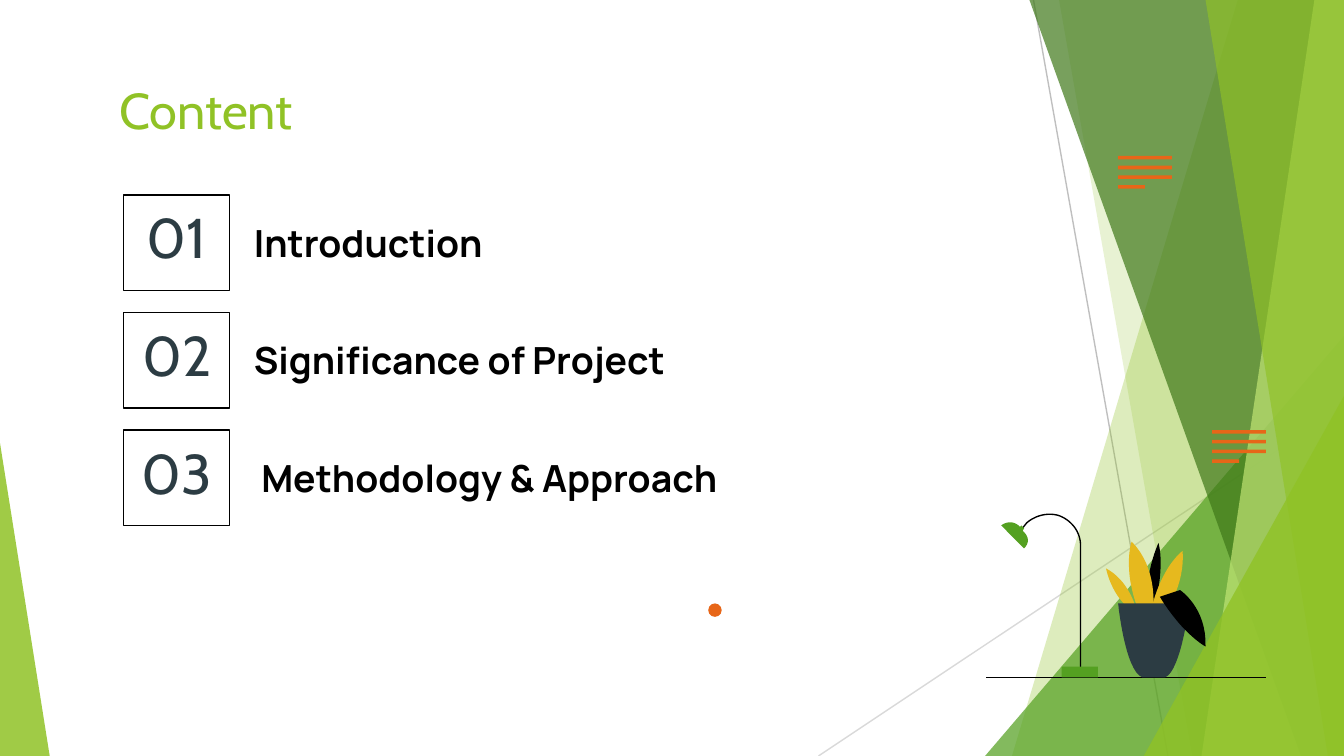
import dataclasses
import lxml.etree
import pptx
import pptx.dml.color
import pptx.enum.shapes
import pptx.enum.text
import pptx.oxml.ns
import pptx.util

SHAPE = pptx.enum.shapes.MSO_SHAPE
ANCHOR = pptx.enum.text.MSO_ANCHOR
ALIGN = pptx.enum.text.PP_ALIGN
WIDTH = pptx.util.Inches(10)
HEIGHT = pptx.util.Inches(5.625)
CELL = WIDTH / 100
ROWS = HEIGHT / CELL


@dataclasses.dataclass(frozen=True)
class Theme:
    lime: str = "90C226"
    pale: str = "C0E474"
    green: str = "54A021"
    forest: str = "3F7819"
    orange: str = "E76618"
    yellow: str = "E6B91E"
    slate: str = "2C3C43"
    black: str = "000000"
    grey: str = "BFBFBF"
    light_grey: str = "D9D9D9"
    head_font: str = "Cabin"
    body_font: str = "Manrope"
    title_size: float = 27
    number_size: float = 30
    body_size: float = 20
    line_width: float = 0.75


@dataclasses.dataclass(frozen=True)
class Box:
    x: float
    y: float
    w: float
    h: float

    def inner(self, x, y, w, h):
        return Box(self.x + x, self.y + y, w, h)

    def point(self, x, y):
        return emu(self.x + x), emu(self.y + y)

    def emus(self):
        return [emu(v) for v in (self.x, self.y, self.w, self.h)]


THEME = Theme()


def emu(cells):
    return pptx.util.Emu(round(cells * CELL))


def rgb(color):
    return pptx.dml.color.RGBColor.from_string(color)


def paint(sp, fill=None, alpha=100, line=None):
    sp.shadow.inherit = False
    if fill:
        sp.fill.solid()
        sp.fill.fore_color.rgb = rgb(fill)
        if alpha < 100:
            clr = sp._element.spPr.find(".//" + pptx.oxml.ns.qn("a:srgbClr"))
            tag = pptx.oxml.ns.qn("a:alpha")
            lxml.etree.SubElement(clr, tag).set("val", str(alpha * 1000))
    else:
        sp.fill.background()
    if line:
        sp.line.color.rgb = rgb(line)
        sp.line.width = pptx.util.Pt(THEME.line_width)
    else:
        sp.line.fill.background()


def add_preset(s, kind, box, fill=None, alpha=100, line=None, adj=None):
    sp = s.shapes.add_shape(kind, *box.emus())
    if adj is not None:
        sp.adjustments[0] = adj
    paint(sp, fill, alpha, line)
    return sp


def add_line(s, box, start, end, color):
    kind = pptx.enum.shapes.MSO_CONNECTOR.STRAIGHT
    sp = s.shapes.add_connector(kind, *box.point(*start), *box.point(*end))
    sp.line.color.rgb = rgb(color)
    sp.line.width = pptx.util.Pt(THEME.line_width)
    lxml.etree.SubElement(sp._element.spPr, pptx.oxml.ns.qn("a:effectLst"))


def bezier(p0, p1, p2, p3, steps=16):
    for i in range(1, steps + 1):
        t = i / steps
        u = 1 - t
        yield tuple(u**3 * a + 3 * u * u * t * b + 3 * u * t * t * c + t**3 * d
                    for a, b, c, d in zip(p0, p1, p2, p3))


def add_outline(s, box, outline, fill=None, alpha=100, line=None):
    points = [outline[0]]
    for step in outline[1:]:
        if len(step) == 2:
            points.append(step)
        else:
            points.extend(bezier(points[-1], step[:2], step[2:4], step[4:]))
    fb = s.shapes.build_freeform(*box.point(*points[0]))
    fb.add_line_segments([box.point(*p) for p in points[1:]], close=bool(fill))
    paint(fb.convert_to_shape(), fill, alpha, line)


def write(sp, text, font, size, color, bold=False, bottom=0.1):
    tf = sp.text_frame
    tf.word_wrap = True
    tf.margin_left = tf.margin_right = tf.margin_top = pptx.util.Inches(0.1)
    tf.margin_bottom = pptx.util.Inches(bottom)
    tf.vertical_anchor = ANCHOR.TOP
    p = tf.paragraphs[0]
    p.alignment = ALIGN.LEFT
    r = p.add_run()
    r.text = text
    r.font.name = font
    r.font.size = pptx.util.Pt(size)
    r.font.bold = bold
    r.font.color.rgb = rgb(color)
    return tf


def add_facets(s, box):
    add_line(s, box, (3.6, 0), (13.6, box.h), THEME.grey)
    add_line(s, box, (box.w, 30.2), (-12.4, box.h), THEME.light_grey)

    def band(top, bottom, color, alpha):
        outline = [(top, 0), (box.w, 0), (box.w, box.h), (bottom, box.h)]
        add_outline(s, box, outline, color, alpha)

    def corner(w, h, color, alpha):
        area = box.inner(box.w - w, box.h - h, w, h)
        add_preset(s, SHAPE.ISOSCELES_TRIANGLE, area, color, alpha, adj=1)

    band(18.8, 2, THEME.lime, 30)
    band(5.5, 15.4, THEME.lime, 20)
    corner(26.7, 31.25, THEME.green, 72)
    band(3.3, 23.5, THEME.forest, 70)
    band(24.5, 16.1, THEME.pale, 70)
    band(16.4, 25.5, THEME.lime, 65)
    corner(14.9, 26.8, THEME.lime, 80)


def add_title(s, box, text):
    sp = s.shapes.add_textbox(*box.emus())
    write(sp, text, THEME.head_font, THEME.title_size, THEME.lime)


def add_agenda(s, box, items):
    pitch = box.h / len(items)
    for i, text in enumerate(items):
        row = box.inner(0, i * pitch, box.w, pitch)
        sp = add_preset(s, SHAPE.RECTANGLE, row.inner(0, 0, 7.9, 7.1), line=THEME.black)
        tf = write(sp, f"{i + 1:02}", THEME.head_font, THEME.number_size,
                   THEME.slate, bottom=0.15)
        tf.vertical_anchor = ANCHOR.BOTTOM
        tf.paragraphs[0].alignment = ALIGN.CENTER
        tf.paragraphs[0].line_spacing = 1.15
        sp = s.shapes.add_textbox(*row.inner(8.7, 0.87, box.w - 8.7, 5.4).emus())
        write(sp, text, THEME.body_font, THEME.body_size, THEME.black, bold=True)


def add_stripes(s, box):
    pitch = box.h / 4
    for i, share in enumerate((1, 1, 1, 0.5)):
        stripe = box.inner(0, i * pitch, box.w * share, 0.27)
        add_preset(s, SHAPE.RECTANGLE, stripe, THEME.orange)


def add_lamp_and_plant(s, box):
    floor = box.h
    add_line(s, box, (0.4, floor), (box.w, floor), THEME.black)
    plant = [
        (THEME.black, [(12.9, 7.2), (12.9, 7.2, 13.7, 4.3, 13.2, 2.4),
                       (13.2, 2.4, 12.2, 4.5, 12.3, 7.2)]),
        (THEME.yellow, [(13.7, 7.6), (13.7, 7.6, 15.2, 5.5, 15, 3),
                        (15, 3, 13.4, 4.1, 12.6, 7.6)]),
        (THEME.yellow, [(12.8, 7.4), (12.8, 7.4, 13.2, 4.3, 11.2, 2.3),
                        (11.2, 2.3, 10.5, 4.3, 11.7, 7.4)]),
        (THEME.yellow, [(11.5, 7.2), (11.5, 7.2, 11, 5.2, 9.3, 4.3),
                        (9.3, 4.3, 9.6, 6, 10.9, 7.2)]),
        (THEME.slate, [(15.5, 6.9), (15.5, 6.9, 14.9, 11.9, 13.7, floor),
                       (12, floor), (10.7, 11.9, 10.2, 6.9, 10.2, 6.9)]),
        (THEME.black, [(14.8, 5.9), (14.8, 5.9, 16.8, 7.2, 16.7, 10.1),
                       (16.7, 10.1, 15, 9.2, 13.3, 6.4)]),
    ]
    for color, outline in plant:
        add_outline(s, box, outline, color)
    arm = [(7.4, floor), (7.4, 2.6), (7.4, 1.6, 6.8, 0.8, 5.9, 0.4),
           (5.1, 0.1, 4.1, 0.3, 3.4, 0.9), (3, 1.4)]
    add_outline(s, box, arm, line=THEME.black)
    shade = [(2.9, 1.2), (3, 1.1), (3.2, 1.3), (3.1, 1.5),
             (3.9, 2.2, 3.2, 2.8, 3.2, 2.8), (1.5, 1.1), (1.5, 1.1, 2.2, 0.5, 2.9, 1.2)]
    add_outline(s, box, shade, THEME.green)
    add_preset(s, SHAPE.RECTANGLE, box.inner(6, floor - 0.8, 2.7, 0.8), THEME.green)


def main():
    prs = pptx.Presentation()
    prs.slide_width, prs.slide_height = WIDTH, HEIGHT
    s = prs.slides.add_slide(prs.slide_layouts[6])
    add_facets(s, Box(73.3, 0, 26.7, ROWS))
    add_preset(s, SHAPE.ISOSCELES_TRIANGLE, Box(0, ROWS - 23.3, 3.7, 23.3), THEME.lime, 85, adj=0)
    add_title(s, Box(7.9, 4.9, 84.3, 6.3), "Content")
    add_agenda(s, Box(9.2, 14.5, 82.9, 26.25),
               ["Introduction", "Significance of Project", " Methodology & Approach"])
    add_preset(s, SHAPE.OVAL, Box(52.7, 44.9, 1, 1), THEME.orange)
    for x, y in ((90.2, 32), (83.2, 11.6)):
        add_stripes(s, Box(x, y, 4, 2.9))
    add_lamp_and_plant(s, Box(73, 38, 21.2, 12.4))
    prs.save("out.pptx")


if __name__ == "__main__":
    main()
